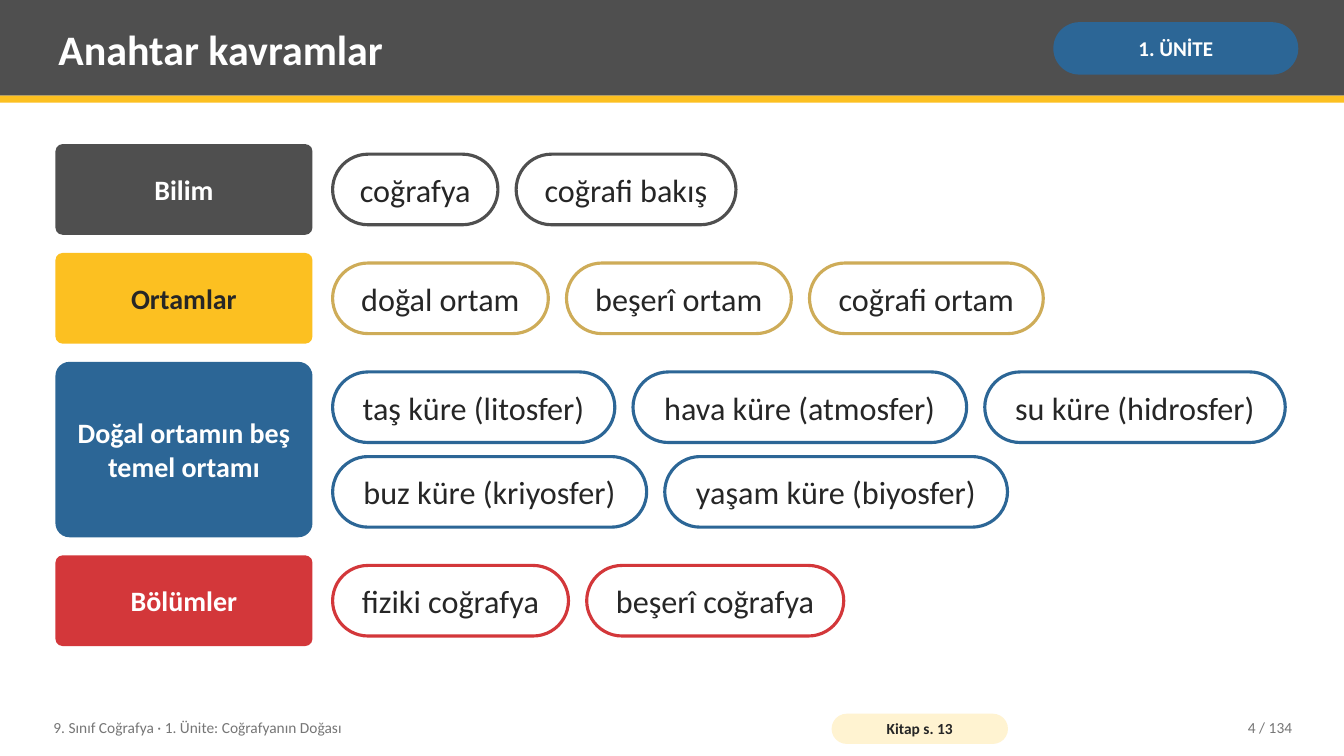
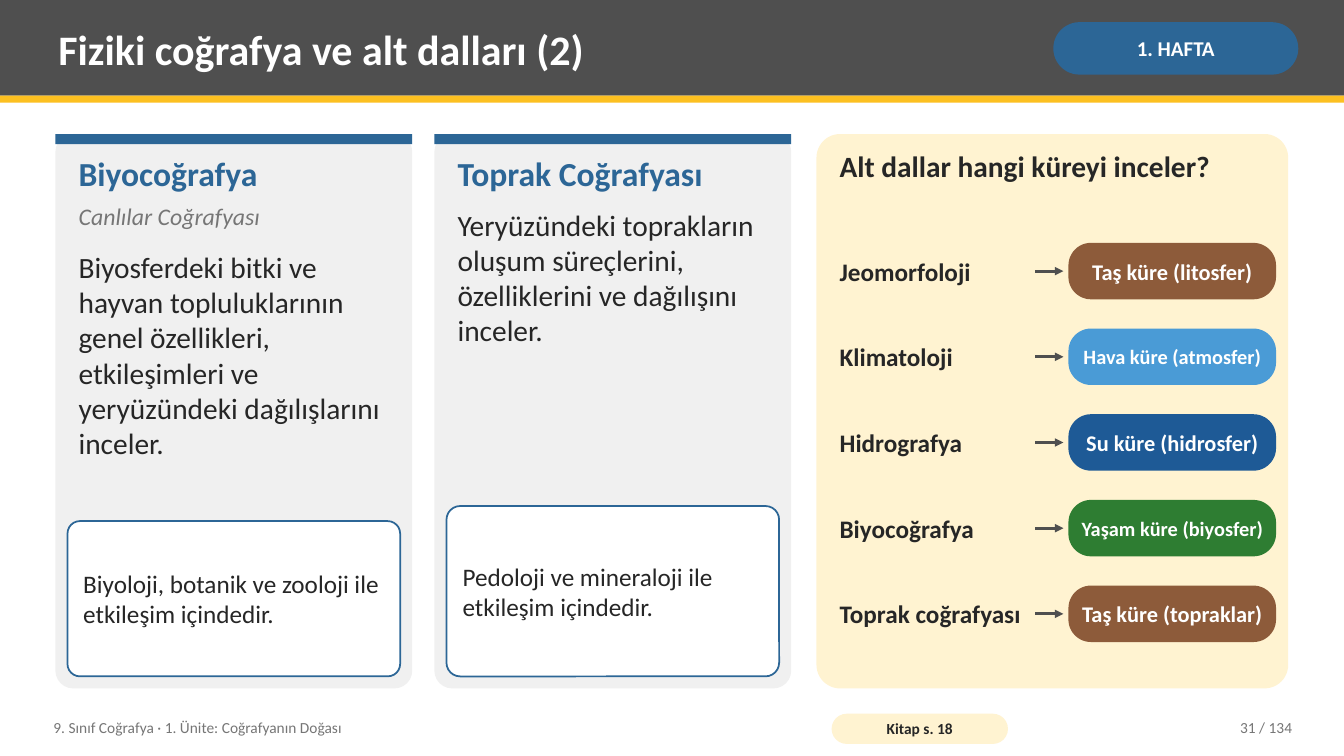
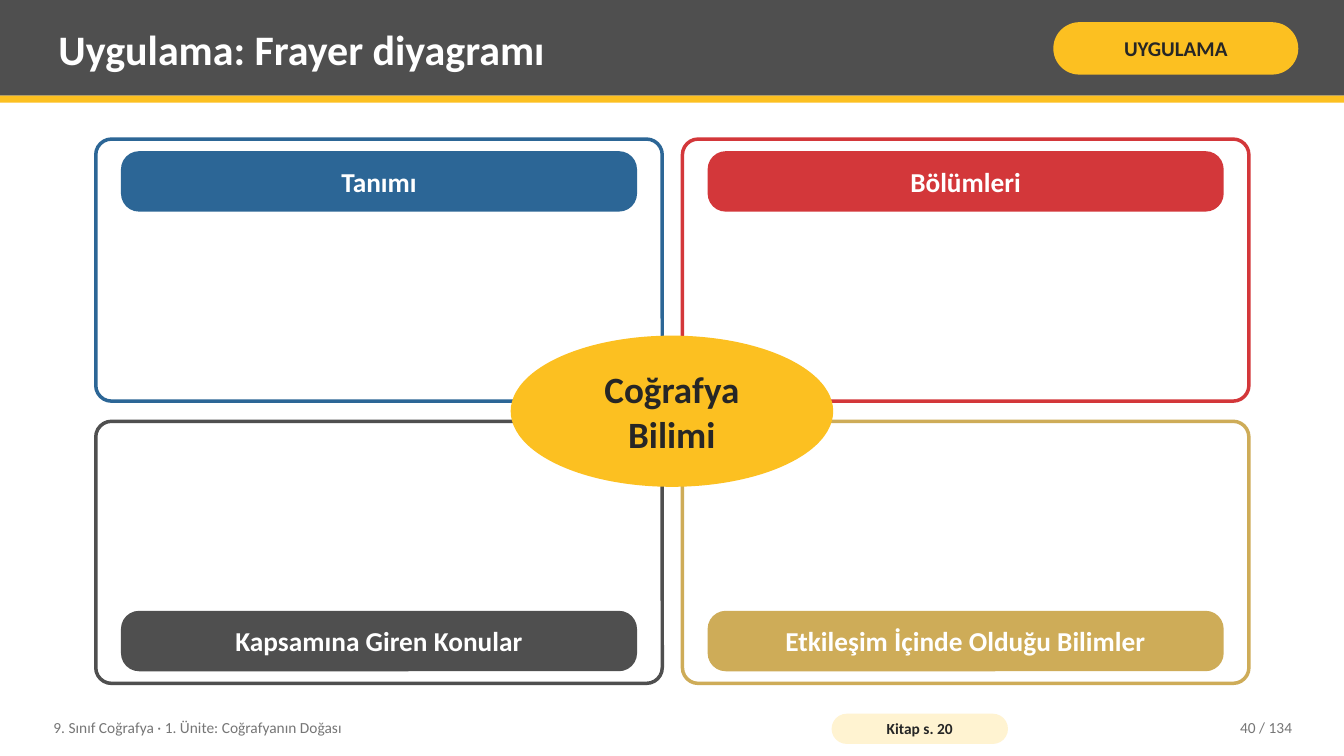
from pptx import Presentation
from pptx.dml.color import RGBColor
from pptx.enum.shapes import MSO_CONNECTOR, MSO_SHAPE
from pptx.enum.text import MSO_ANCHOR, PP_ALIGN
from pptx.oxml.ns import qn
from pptx.util import Pt
from lxml.etree import SubElement

FONT = "Calibri"
COLORS = {
    "white": "FFFFFF", "ink": "262626", "gray": "4F4F4F", "muted": "767676",
    "light": "F0F0F0", "cream": "FFF3D1", "yellow": "FCC021", "gold": "CEAC58",
    "blue": "2C6696", "red": "D3373A", "brown": "8D5B3A", "sky": "4A9BD6",
    "navy": "1E5A96", "green": "2E7D32",
}
SLIDE_W, SLIDE_H = 960, 540
PAGE_COUNT = 134
FOOTER = "9. Sınıf Coğrafya · 1. Ünite: Coğrafyanın Doğası"
LEFT = 39.6

# Horizontal and vertical text insets
TEXT_INSET = (5.76, 2.88)
BLOCK_INSET = (10.08, 5.76)
NOTE_INSET = (8.64, 5.76)
CHIP_INSET = (7.2, 1.44)
TAG_INSET = (3.6, 1.44)
PILL_INSET = (2.88, 0)


def rgb(name):
    return RGBColor.from_string(COLORS[name])


def write(sp, text, size, color="ink", bold=False, italic=False,
          align=PP_ALIGN.LEFT, anchor=MSO_ANCHOR.MIDDLE, inset=TEXT_INSET):
    tf = sp.text_frame
    tf.text = text
    tf.word_wrap = True
    tf.vertical_anchor = anchor
    tf.margin_left = tf.margin_right = Pt(inset[0])
    tf.margin_top = tf.margin_bottom = Pt(inset[1])
    p = tf.paragraphs[0]
    p.alignment = align
    font = p.runs[0].font
    font.name, font.size = FONT, Pt(size)
    font.bold, font.italic = bold, italic
    font.color.rgb = rgb(color)


def add_text(s, x, y, w, h, text, size, **style):
    write(s.shapes.add_textbox(Pt(x), Pt(y), Pt(w), Pt(h)), text, size, **style)


def add_box(s, x, y, w, h, fill, kind=MSO_SHAPE.RECTANGLE, line=None, weight=1):
    sp = s.shapes.add_shape(kind, Pt(x), Pt(y), Pt(w), Pt(h))
    sp.shadow.inherit = False
    sp.fill.solid()
    sp.fill.fore_color.rgb = rgb(fill)
    if line:
        sp.line.color.rgb = rgb(line)
        sp.line.width = Pt(weight)
    else:
        sp.line.fill.background()
    return sp


def add_round(s, x, y, w, h, fill, radius, **outline):
    sp = add_box(s, x, y, w, h, fill, MSO_SHAPE.ROUNDED_RECTANGLE, **outline)
    sp.adjustments[0] = radius
    return sp


def add_label(s, x, y, w, h, fill, radius, text, size, inset, color="white"):
    """Filled rounded box with bold centred text."""
    sp = add_round(s, x, y, w, h, fill, radius)
    write(sp, text, size, color, bold=True, align=PP_ALIGN.CENTER, inset=inset)


def add_arrow(s, x1, x2, y):
    cxn = s.shapes.add_connector(MSO_CONNECTOR.STRAIGHT, Pt(x1), Pt(y), Pt(x2), Pt(y))
    cxn.line.color.rgb = rgb("gray")
    cxn.line.width = Pt(2)
    SubElement(cxn.line._get_or_add_ln(), qn("a:tailEnd"), type="triangle")
    SubElement(cxn._element.spPr, qn("a:effectLst"))


def add_slide(prs, title, tag, tag_fill, tag_color, book_page, number):
    """New slide with the header band, tag and footer that all slides share."""
    s = prs.slides.add_slide(prs.slide_layouts[6])
    add_box(s, 0, 0, SLIDE_W, 68.4, "gray")
    add_box(s, 0, 68.4, SLIDE_W, 5, "yellow")
    add_text(s, 36, 5, 702, 59, title, 30, color="white", bold=True)
    add_label(s, 752.4, 15.84, 175, 37.44, tag_fill, 0.5, tag, 15, TAG_INSET, tag_color)
    add_text(s, 32.4, 506.9, 547.2, 25.9, FOOTER, 11, color="muted")
    add_label(s, 594, 509.8, 126, 21.6, "cream", 0.5, f"Kitap s. {book_page}", 11,
              PILL_INSET, "ink")
    add_text(s, 813.6, 506.9, 115.2, 25.9, f"{number} / {PAGE_COUNT}", 11,
             color="muted", align=PP_ALIGN.RIGHT)
    return s


def add_concept_row(s, y, name, fill, color, line, chip_lines):
    """Category block with its lines of chips; returns the top of the next row."""
    gap, pad, chip_h, pitch = 12.96, 7.2, 50.4, 60.48
    h = 2 * pad + chip_h + (len(chip_lines) - 1) * pitch
    add_label(s, LEFT, y, 183.6, h, fill, 0.08, name, 20, BLOCK_INSET, color)
    for i, chips in enumerate(chip_lines):
        x = 237.6
        for text, w in chips:
            sp = add_round(s, x, y + pad + i * pitch, w, chip_h, "white", 0.5,
                           line=line, weight=2.25)
            write(sp, text, 23, align=PP_ALIGN.CENTER, inset=CHIP_INSET)
            x += w + gap
    return y + h + gap


def add_branch_card(s, x, title, subtitle, body, note, note_h):
    top, w, h = 95.76, 254.88, 396
    text_x, text_w = x + 10.8, w - 21.6
    note_y = top + h - 8.64 - note_h
    add_round(s, x, top, w, h, "light", 0.05)
    add_box(s, x, top, w, 7.2, "blue")
    add_text(s, text_x, 106.56, text_w, 39.6, title, 24, color="blue", bold=True,
             anchor=MSO_ANCHOR.TOP)
    body_y = 144.72
    if subtitle:
        add_text(s, text_x, 141.12, text_w, 30.24, subtitle, 17, color="muted",
                 italic=True, anchor=MSO_ANCHOR.TOP)
        body_y += 30.24
    add_text(s, text_x, body_y, text_w, note_y - 7 - body_y, body, 21,
             anchor=MSO_ANCHOR.TOP)
    sp = add_round(s, x + 8.64, note_y, w - 17.28, note_h, "white", 0.08,
                   line="blue", weight=1.25)
    write(sp, note, 18, inset=NOTE_INSET)


def add_sphere_panel(s, heading, pairs):
    add_round(s, 583.2, 95.76, 336.96, 396, "cream", 0.05)
    add_text(s, 594, 102.96, 315.36, 61.2, heading, 21, bold=True, anchor=MSO_ANCHOR.TOP)
    for i, (branch, sphere, fill, size) in enumerate(pairs):
        mid = 193.68 + i * 61.2
        add_text(s, 594, mid - 25.92, 147.6, 51.84, branch, 18, bold=True)
        add_arrow(s, 739.44, 759.6, mid)
        add_label(s, 763.2, mid - 20.16, 148.32, 40.32, fill, 0.4, sphere, size, PILL_INSET)


def add_frayer(s, center, quadrants):
    """Two by two frames, headings on the outer edges, an ellipse in the middle."""
    w, h, gap, pad, head_h = 404.64, 187.2, 14.4, 8.64, 43.2
    for i, (heading, color) in enumerate(quadrants):
        row, col = divmod(i, 2)
        x, y = 68.4 + col * (w + gap), 99.36 + row * (h + gap)
        head_y = y + h - pad - head_h if row else y + pad
        add_round(s, x, y, w, h, "white", 0.06, line=color, weight=2.5)
        add_label(s, x + 18, head_y, w - 36, head_h, color, 0.3, heading, 19.5, BLOCK_INSET)
    sp = add_box(s, 364.8, 239.76, 230.4, 108, "yellow", MSO_SHAPE.OVAL)
    write(sp, center, 26.5, bold=True, align=PP_ALIGN.CENTER, inset=BLOCK_INSET)


def key_concepts(prs):
    s = add_slide(prs, "Anahtar kavramlar", "1. ÜNİTE", "blue", "white", 13, 4)
    rows = [
        ("Bilim", "gray", "white", "gray",
         [[("coğrafya", 118.1), ("coğrafi bakış", 157)]]),
        ("Ortamlar", "yellow", "ink", "gold",
         [[("doğal ortam", 154.1), ("beşerî ortam", 160.6), ("coğrafi ortam", 167)]]),
        ("Doğal ortamın beş temel ortamı", "blue", "white", "blue",
         [[("taş küre (litosfer)", 201.6), ("hava küre (atmosfer)", 238.3),
           ("su küre (hidrosfer)", 214.6)],
          [("buz küre (kriyosfer)", 224.3), ("yaşam küre (biyosfer)", 244.8)]]),
        ("Bölümler", "red", "white", "red",
         [[("fiziki coğrafya", 168.5), ("beşerî coğrafya", 183.6)]]),
    ]
    y = 102.96
    for row in rows:
        y = add_concept_row(s, y, *row)


def physical_geography(prs):
    s = add_slide(prs, "Fiziki coğrafya ve alt dalları (2)", "1. HAFTA", "blue", "white",
                  18, 31)
    cards = [
        ("Biyocoğrafya", "Canlılar Coğrafyası",
         "Biyosferdeki bitki ve hayvan topluluklarının genel özellikleri, "
         "etkileşimleri ve yeryüzündeki dağılışlarını inceler.",
         "Biyoloji, botanik ve zooloji ile etkileşim içindedir.", 110.88),
        ("Toprak Coğrafyası", None,
         "Yeryüzündeki toprakların oluşum süreçlerini, özelliklerini ve "
         "dağılışını inceler.",
         "Pedoloji ve mineraloji ile etkileşim içindedir.", 121.68),
    ]
    for i, card in enumerate(cards):
        add_branch_card(s, LEFT + i * 270.72, *card)
    add_sphere_panel(s, "Alt dallar hangi küreyi inceler?", [
        ("Jeomorfoloji", "Taş küre (litosfer)", "brown", 16),
        ("Klimatoloji", "Hava küre (atmosfer)", "sky", 14.5),
        ("Hidrografya", "Su küre (hidrosfer)", "navy", 16),
        ("Biyocoğrafya", "Yaşam küre (biyosfer)", "green", 14.5),
        ("Toprak coğrafyası", "Taş küre (topraklar)", "brown", 16),
    ])


def frayer_exercise(prs):
    s = add_slide(prs, "Uygulama: Frayer diyagramı", "UYGULAMA", "yellow", "ink", 20, 40)
    add_frayer(s, "Coğrafya Bilimi", [
        ("Tanımı", "blue"),
        ("Bölümleri", "red"),
        ("Kapsamına Giren Konular", "gray"),
        ("Etkileşim İçinde Olduğu Bilimler", "gold"),
    ])


def main():
    prs = Presentation()
    prs.slide_width, prs.slide_height = Pt(SLIDE_W), Pt(SLIDE_H)
    key_concepts(prs)
    physical_geography(prs)
    frayer_exercise(prs)
    prs.save("out.pptx")


if __name__ == "__main__":
    main()
